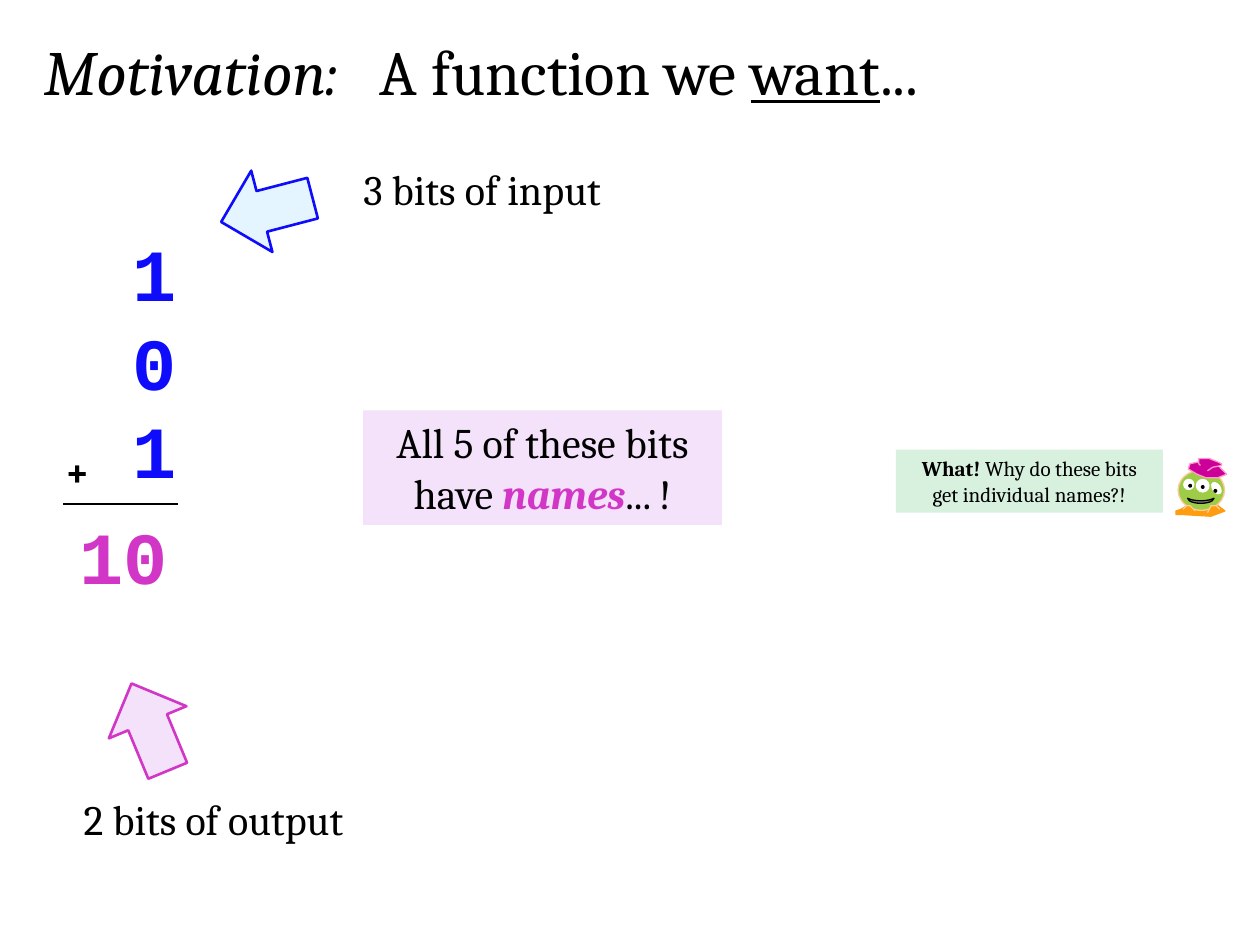
"""Build the slide that motivates a function adding three bits."""
from lxml import etree
from pptx import Presentation, util as u
from pptx.dml.color import RGBColor
from pptx.enum import shapes, text
from pptx.oxml.ns import qn

Pt = u.Pt
KIND = shapes.MSO_SHAPE
ALIGN = text.PP_ALIGN
COLORS = {
    "black": "000000", "white": "FFFFFF", "gray": "808080",
    "blue": "0E0CFB", "pale blue": "E5F5FF",
    "magenta": "D236C7", "pale magenta": "F3E2FA", "pale green": "D8F0DE",
    "skin": "9ECC46", "peach": "FFCC99", "orange": "FD9D0F",
    "beret": "CC0099", "pink": "FF99CC",
}

TITLE = [("Motivation:\t", {"italic": True}), ("A function we ", {}),
         ("want", {"underline": True}), ("...", {})]
NAMES = [("All 5 of these bits have ", {}),
         ("names", {"color": "magenta", "bold": True, "italic": True}), ("... !", {})]
QUESTION = [("What! ", {"bold": True}), ("Why do these bits get individual names?!", {})]
DIGITS = {"size": 42, "font": "Courier New", "bold": True, "align": ALIGN.RIGHT, "pitch": 50.6}

LABELS = [
    ((30, 126, 78, 160), [[("1", {})], [("0", {})], [("1", {})]],
     {**DIGITS, "color": "blue", "anchor": text.MSO_ANCHOR.MIDDLE}),
    ((18, 15, 570, 51), [TITLE], {"size": 36, "align": ALIGN.LEFT, "tab": 192}),
    ((196.5, 90, 158, 36), [[("3 bits of input", {})]], {"wrap": False}),
    ((37.5, 288, 65.5, 58), [[("10", {})]], {**DIGITS, "color": "magenta", "wrap": False}),
    ((30, 250.5, 28, 36), [[("+", {})]], {"bold": True, "wrap": False}),
    ((36, 450, 172, 36), [[("2 bits of output", {})]], {"wrap": False}),
    ((207.5, 234.5, 205, 65.5), [NAMES], {"fill": "pale magenta"}),
    ((512, 257, 152.5, 36), [QUESTION], {"size": 12, "fill": "pale green"}),
]
ARROWS = [((125.5, 96, 54, 48), 165.4, "pale blue", "blue"),
          ((58.5, 391.5, 54, 48), 247.5, "pale magenta", "magenta")]
SUM_LINE = (36, 288, 102, 288)

FEET = [(686.2, 287.3), (696.2, 289.4), (699.8, 292.3), (691.9, 295.2), (674.6, 294.5),
        (672.5, 293.8), (672.5, 292.3), (674.6, 290.9), (679.7, 288), (681.8, 286.6)]
BERET = [(685.4, 264.2), (680.4, 265), (679, 267.8), (684, 271.4), (689, 272.9),
         (695.5, 272.9), (700.6, 270.7), (699.8, 270), (697, 267.1)]
BERET_TOP = [(686.2, 266.4), (684.7, 265), (685.4, 262.1), (691.2, 262.1), (696.2, 264.2),
             (698.4, 265), (698.4, 266.4), (692.6, 267.1), (689.8, 268.6)]
LEFT_HAND = [(676.1, 290.9), (678.2, 288.7), (680.4, 289.4), (682.6, 292.3)]
RIGHT_HAND = [(697, 290.9), (694.8, 288.7), (691.9, 289.4), (690.5, 293)]
HEAD = (673.2, 268.6, 26.6, 23)
EYES = [((676.1, 273.6, 6.5, 6.5), 327.2), ((683.3, 273.6, 7.9, 7.9), 0),
        ((692.6, 275, 5, 7.9), 325.5)]
PUPILS = [(679, 276.5), (686.2, 277.2), (693.4, 279.4)]
PUPIL_SIZE = 2.2
MOUTH = (684.7, 278.6, 2.9, 15.1)


def rgb(name):
    return RGBColor.from_string(COLORS[name])


def paint(shape, fill, line=None, width=0.75):
    shape.shadow.inherit = False
    shape.fill.solid()
    shape.fill.fore_color.rgb = rgb(fill)
    if line:
        shape.line.color.rgb = rgb(line)
        shape.line.width = Pt(width)
    else:
        shape.line.fill.background()
    return shape


def add_preset(parent, kind, place, fill, line=None, width=0.75, turn=0):
    shape = parent.add_shape(kind, *map(Pt, place))
    shape.rotation = turn
    return paint(shape, fill, line, width)


def add_outline(parent, points, fill, line, close=False):
    builder = parent.build_freeform(*points[0], scale=Pt(1))
    builder.add_line_segments(points[1:], close=close)
    return paint(builder.convert_to_shape(), fill, line)


def add_label(page, place, paragraphs, *, size=24, font="Cambria", color="black", bold=False,
              align=ALIGN.CENTER, anchor=text.MSO_ANCHOR.TOP, wrap=True, fill=None,
              pitch=None, tab=None):
    if fill:
        box = add_preset(page.shapes, KIND.RECTANGLE, place, fill)
    else:
        box = page.shapes.add_textbox(*map(Pt, place))
    frame = box.text_frame
    frame.word_wrap = wrap
    frame.vertical_anchor = anchor
    for index, spans in enumerate(paragraphs):
        para = frame.add_paragraph() if index else frame.paragraphs[0]
        para.alignment = align
        if pitch:
            para.line_spacing = Pt(pitch)
        if tab:
            stops = etree.SubElement(para._p.get_or_add_pPr(), qn("a:tabLst"))
            etree.SubElement(stops, qn("a:tab"), pos=str(Pt(tab)), algn="l")
        for words, style in spans:
            span = para.add_run()
            span.text = words
            span.font.size = Pt(size)
            span.font.name = font
            span.font.bold = style.get("bold", bold)
            span.font.italic = style.get("italic", False)
            span.font.underline = style.get("underline", False)
            span.font.color.rgb = rgb(style.get("color", color))


def add_alien(page):
    alien = page.shapes.add_group_shape().shapes
    add_outline(alien, FEET, "orange", "orange", close=True)
    add_preset(alien, KIND.OVAL, HEAD, "skin", "peach")
    for place, turn in EYES:
        add_preset(alien, KIND.OVAL, place, "white", turn=turn)
    for corner in PUPILS:
        add_preset(alien, KIND.OVAL, (*corner, PUPIL_SIZE, PUPIL_SIZE), "black")
    add_preset(alien, KIND.MOON, MOUTH, "gray", "black", turn=270)
    for part in (BERET, BERET_TOP):
        add_outline(alien, part, "beret", "pink")
    for hand in (LEFT_HAND, RIGHT_HAND):
        add_outline(alien, hand, "orange", "peach")


def main():
    deck = Presentation()
    deck.slide_width, deck.slide_height = Pt(720), Pt(540)
    page = deck.slides.add_slide(deck.slide_layouts[6])
    for place, paragraphs, style in LABELS:
        add_label(page, place, paragraphs, **style)
    rule = page.shapes.add_connector(shapes.MSO_CONNECTOR.STRAIGHT, *map(Pt, SUM_LINE))
    rule.line.color.rgb = rgb("black")
    rule.line.width = Pt(1.5)
    etree.SubElement(rule._element.spPr, qn("a:effectLst"))
    for place, turn, fill, line in ARROWS:
        add_preset(page.shapes, KIND.RIGHT_ARROW, place, fill, line, 1.5, turn)
    add_alien(page)
    deck.save("out.pptx")


if __name__ == "__main__":
    main()
